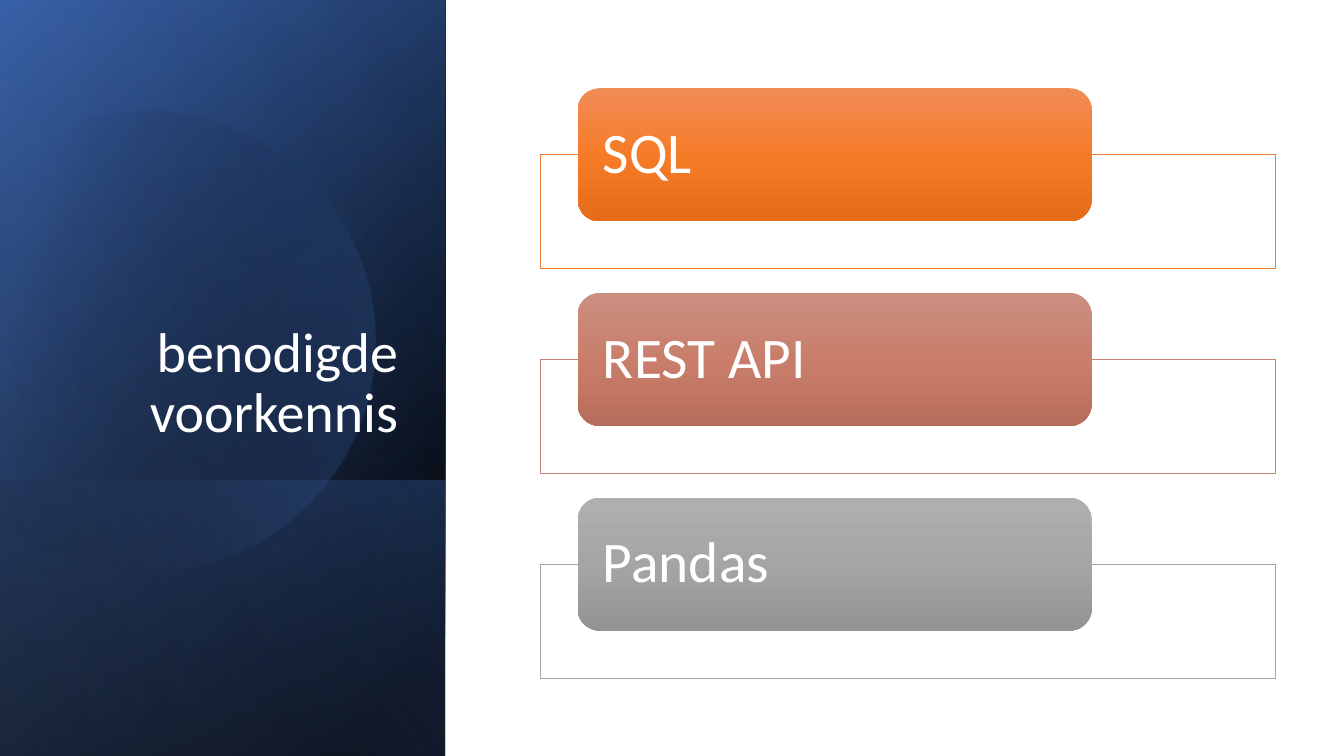
import math
from lxml import etree
from pptx import Presentation
from pptx.dml.color import RGBColor
from pptx.enum import shapes, text
from pptx.oxml import ns
from pptx.util import Pt

TITLE = "benodigde voorkennis"
TOPICS = [
    ("SQL", "ED7D31", ("F18C57", "F67B28", "E56C19")),
    ("REST API", "C48170", ("CB8F81", "C97E6B", "B76D5B")),
    ("Pandas", "A5A5A5", ("AFAFAF", "A5A5A5", "939393")),
]
W, H, PANEL_W = 960, 540, 318
BACK_PANELS = [
    (H, [(8, "000000", 100), (100, "2F5597", 100)], 50),
    (H, [(0, "000000", 0), (99, "4472C4", 46)], 30),
    (197, [(2, "4472C4", 29), (100, "000000", 30)], 130),
]
FRONT_PANEL = (H, [(0, "000000", 0), (99, "8FAADC", 11)], 120)
DISC_CENTER = (114.1, 240.8)
DISC_TURN = 343.9
DISC_STOPS = [(29, "000000", 0), (100, "4472C4", 43)]
DISC_OUTLINE = [
    ("M", [(107.3, 79.2)]),
    ("C", [(177.1, 80.6), (241.2, 127.4), (261.4, 198)]),
    ("C", [(286.6, 285.8), (236.2, 376.6), (149, 401.8)]),
    ("C", [(94.3, 417.6), (38.2, 403.9), (-2.2, 370.1)]),
    ("L", [(-10.8, 362.2)]),
    ("L", [(-10.8, 126)]),
    ("L", [(0, 115.9)]),
    ("C", [(16.6, 102.2), (36, 92.2), (57.6, 85.7)]),
    ("C", [(74.2, 81.4), (90.7, 79.2), (107.3, 79.2)]),
]
FRAME = (386, 110.6, 525, 81.4)
TAB = (412.6, 63, 367.2, 95)
LABEL = (417, 67.7, 358, 85.7)
PITCH = 146.2


def rgb(value):
    return RGBColor.from_string(value)


def box(area, row):
    left, top, width, height = area
    return Pt(left), Pt(top + row * PITCH), Pt(width), Pt(height)


def gradient(sp, stops, angle):
    sp.shadow.inherit = False
    sp.line.fill.background()
    sp.fill.background()
    grad = etree.Element(ns.qn("a:gradFill"), rotWithShape="1")
    stop_list = etree.SubElement(grad, ns.qn("a:gsLst"))
    for pos, color, alpha in stops:
        stop = etree.SubElement(stop_list, ns.qn("a:gs"), pos=str(pos * 1000))
        clr = etree.SubElement(stop, ns.qn("a:srgbClr"), val=color)
        if alpha < 100:
            etree.SubElement(clr, ns.qn("a:alpha"), val=str(alpha * 1000))
    etree.SubElement(grad, ns.qn("a:lin"), ang=str(angle * 60000), scaled="0")
    props = sp._element.spPr
    props.replace(props.find(ns.qn("a:noFill")), grad)


def add_panel(s, height, stops, angle):
    left = (PANEL_W - height) / 2
    top = H - (height + PANEL_W) / 2
    sp = s.shapes.add_shape(shapes.MSO_SHAPE.RECTANGLE, Pt(left), Pt(top), Pt(height), Pt(PANEL_W))
    sp.rotation = 90
    sp._element.spPr.find(ns.qn("a:xfrm")).set("flipH", "1")
    gradient(sp, stops, angle)


def unturn(point):
    angle = math.radians(360 - DISC_TURN)
    cx, cy = DISC_CENTER
    dx, dy = point[0] - cx, point[1] - cy
    return (Pt(cx + dx * math.cos(angle) - dy * math.sin(angle)),
            Pt(cy + dx * math.sin(angle) + dy * math.cos(angle)))


def add_disc(s):
    points = [unturn(p) for _, group in DISC_OUTLINE for p in group]
    builder = s.shapes.build_freeform(*points[0])
    builder.add_line_segments(points[1:], close=True)
    sp = builder.convert_to_shape()
    lines = iter(list(sp._element.iter(ns.qn("a:lnTo"))))
    for command, group in DISC_OUTLINE[1:]:
        steps = [next(lines) for _ in group]
        if command == "C":
            curve = etree.Element(ns.qn("a:cubicBezTo"))
            steps[0].addprevious(curve)
            for step in steps:
                curve.append(step[0])
                step.getparent().remove(step)
    sp.rotation = DISC_TURN
    gradient(sp, DISC_STOPS, 30)


def write(sp, content, size, align, anchor):
    tf = sp.text_frame
    tf.text = content
    tf.word_wrap = True
    tf.auto_size = text.MSO_AUTO_SIZE.NONE
    tf.vertical_anchor = anchor
    p = tf.paragraphs[0]
    p.alignment = align
    p.line_spacing = 0.9
    font = p.runs[0].font
    font.name, font.size = "Calibri", Pt(size)
    font.color.rgb = rgb("FFFFFF")


def add_topic(s, row, name, border, colors):
    frame = s.shapes.add_shape(shapes.MSO_SHAPE.RECTANGLE, *box(FRAME, row))
    frame.shadow.inherit = False
    frame.fill.solid()
    frame.fill.fore_color.rgb = rgb("FFFFFF")
    frame.line.color.rgb = rgb(border)
    frame.line.width = Pt(0.5)

    tab = s.shapes.add_shape(shapes.MSO_SHAPE.ROUNDED_RECTANGLE, *box(TAB, row))
    gradient(tab, [(pos, color, 100) for pos, color in zip((0, 50, 100), colors)], 90)

    label = s.shapes.add_textbox(*box(LABEL, row))
    write(label, name, 41, text.PP_ALIGN.LEFT, text.MSO_ANCHOR.MIDDLE)
    tf = label.text_frame
    tf.margin_left = tf.margin_right = Pt(13.7)
    tf.margin_top = tf.margin_bottom = 0


def main():
    prs = Presentation()
    prs.slide_width, prs.slide_height = Pt(W), Pt(H)
    s = prs.slides.add_slide(prs.slide_layouts[5])
    for panel in BACK_PANELS:
        add_panel(s, *panel)
    add_disc(s)
    add_panel(s, *FRONT_PANEL)

    title = s.shapes.title
    title.left, title.top, title.width, title.height = Pt(46), Pt(132.8), Pt(245.5), Pt(188.6)
    write(title, TITLE, 40, text.PP_ALIGN.RIGHT, text.MSO_ANCHOR.BOTTOM)
    title._element.getparent().append(title._element)

    for row, topic in enumerate(TOPICS):
        add_topic(s, row, *topic)
    prs.save("out.pptx")


if __name__ == "__main__":
    main()
